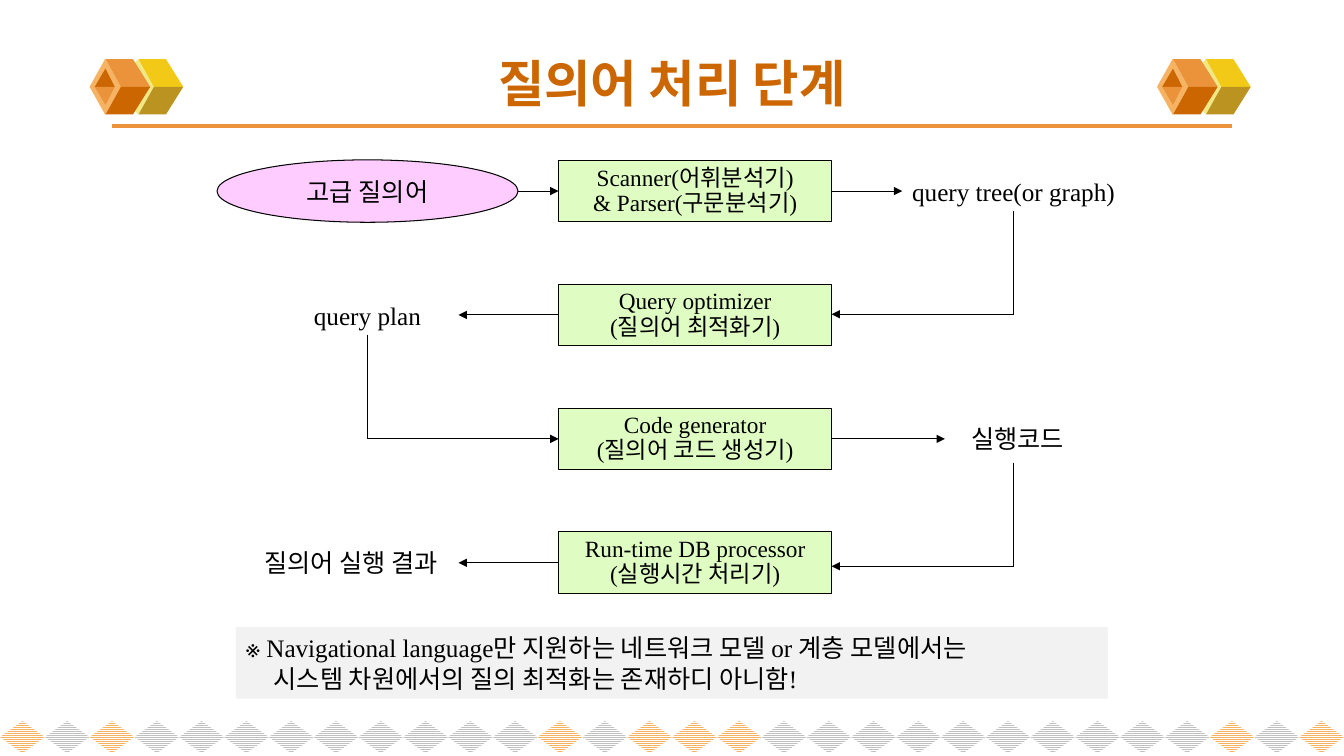
from lxml.etree import SubElement
from pptx import Presentation
from pptx.dml.color import RGBColor
from pptx.enum.dml import MSO_PATTERN
from pptx.enum.shapes import MSO_CONNECTOR, MSO_SHAPE
from pptx.enum.text import MSO_ANCHOR, PP_ALIGN
from pptx.oxml.ns import qn
from pptx.util import Pt

FONT = "Times New Roman"
BLACK, AMBER, RUST = "000000", "EB933B", "CC6600"
LEFT, RIGHT = 399, 594      # sides of the step boxes
TOP, PITCH = 136.5, 88.5    # centre of the first row, row distance
STEPS = [
    ("Scanner(어휘분석기)", "& Parser(구문분석기)"),
    ("Query optimizer", "(질의어 최적화기)"),
    ("Code generator", "(질의어 코드 생성기)"),
    ("Run-time DB processor", "(실행시간 처리기)"),
]
NOTE = (
    "※ Navigational language만 지원하는 네트워크 모델 or 계층 모델에서는",
    "시스템 차원에서의 질의 최적화는 존재하디 아니함!",
)


def tint(code):
    return RGBColor.from_string(code)


def apply(item, form):
    for name, value in form.items():
        setattr(item, name, value)


def row(index):
    return TOP + PITCH * index


def paint(shape, fill, line=None):
    shape.shadow.inherit = False
    shape.fill.solid()
    shape.fill.fore_color.rgb = tint(fill)
    if line:
        shape.line.color.rgb = tint(line)
        shape.line.width = Pt(0.75)
    else:
        shape.line.fill.background()


def write(shape, lines, size=18, color=BLACK, bold=False, inset=(7.2, 3.6),
          wrap=True, align=PP_ALIGN.CENTER, space=1.0):
    frame = shape.text_frame
    side, edge = (Pt(value) for value in inset)
    apply(frame, {"word_wrap": wrap, "vertical_anchor": MSO_ANCHOR.MIDDLE,
                  "margin_left": side, "margin_right": side,
                  "margin_top": edge, "margin_bottom": edge})
    frame.text = "\n".join(lines)
    for par in frame.paragraphs:
        apply(par, {"alignment": align, "line_spacing": space})
        font = par.runs[0].font
        apply(font, {"name": FONT, "size": Pt(size), "bold": bold})
        font.color.rgb = tint(color)


def block(slide, kind, x, y, w, h, fill, line=None):
    shape = slide.shapes.add_shape(kind, Pt(x), Pt(y), Pt(w), Pt(h))
    paint(shape, fill, line)
    return shape


def label(slide, text, mid, y, w, h=30, **form):
    box = slide.shapes.add_textbox(Pt(mid - w / 2), Pt(y - h / 2), Pt(w), Pt(h))
    write(box, [text], **form)


def link(slide, start, end, color=BLACK, width=0.75, arrow=False):
    ends = [Pt(value) for value in (*start, *end)]
    line = slide.shapes.add_connector(MSO_CONNECTOR.STRAIGHT, *ends)
    line.line.color.rgb = tint(color)
    line.line.width = Pt(width)
    if arrow:
        SubElement(line.line._get_or_add_ln(), qn("a:tailEnd"), type="triangle")
    SubElement(line._element.spPr, qn("a:effectLst"))


def bend(slide, x, y, side, end):
    link(slide, (x, y), (x, end))
    link(slide, (x, end), (side, end), arrow=True)


def face(slide, x, y, points, fill):
    spots = [(Pt(x + dx), Pt(y + dy)) for dx, dy in points]
    form = slide.shapes.build_freeform(*spots[0], scale=1.0)
    form.add_line_segments(spots[1:], close=True)
    paint(form.convert_to_shape(), fill)


def pair(slide, x, y, points, upper, lower):
    face(slide, x, y, points, upper)
    face(slide, x, y, [(dx, -dy) for dx, dy in points], lower)


def emblem(slide, x, y):
    cube = [(22.4, 0), (43.3, 0), (31, -19.7), (11.4, -19.7)]
    back = [(dx + 23.6, dy) for dx, dy in cube]
    notch = [(11.4, -13), (3.7, 0), (18, 0)]
    block(slide, MSO_SHAPE.DIAMOND, x + 18.8, y - 19.7, 31.7, 39.5, "F1E785")
    pair(slide, x, y, back, "F3C917", "BB9321")
    block(slide, MSO_SHAPE.DIAMOND, x, y - 20, 22.4, 40, "F5B363")
    pair(slide, x, y, cube, AMBER, RUST)
    pair(slide, x, y, notch, RUST, AMBER)


def border(slide):
    warm = {0, 2, 12, 14, 15, 16, 27, 29}
    for index in range(30):
        gem = block(slide, MSO_SHAPE.DIAMOND, 32 * index, 515, 32, 23, "FFFFFF")
        gem.fill.patterned()
        gem.fill.pattern = MSO_PATTERN.NARROW_HORIZONTAL
        gem.fill.fore_color.rgb = tint("F5B363" if index in warm else "C0C0C0")
        gem.fill.back_color.rgb = tint("FFFFFF")


def flow(slide):
    # Query and processing steps
    query = block(slide, MSO_SHAPE.OVAL, 155, TOP - 22.3, 215, 44.6,
                  "FFCCFF", BLACK)
    write(query, ["고급 질의어"])
    for index, lines in enumerate(STEPS):
        step = block(slide, MSO_SHAPE.RECTANGLE, LEFT, row(index) - 22,
                     RIGHT - LEFT, 44, "DFFDC3", BLACK)
        write(step, lines, size=16.6, inset=(2.9, 2.9), space=0.9)

    # Results between the steps
    for index, text, mid, wide in [
        (0, "query tree(or graph)", 724, 160),
        (1, "query plan", 262.5, 155),
        (2, "실행코드", 727, 104),
        (3, "질의어 실행 결과", 251, 153),
    ]:
        label(slide, text, mid, row(index), wide, wrap=False)

    # Straight arrows
    for index, start, end in [(0, 370, LEFT), (0, RIGHT, 644.5),
                              (1, LEFT, 327.5), (2, RIGHT, 675),
                              (3, LEFT, 327.5)]:
        link(slide, (start, row(index)), (end, row(index)), arrow=True)

    # Bent arrows
    bend(slide, 724, 150.5, RIGHT, row(1) - 0.5)
    bend(slide, 262.5, 239, LEFT, row(2))
    bend(slide, 724, 330.5, RIGHT, row(3) + 2.5)


def remark(slide):
    note = block(slide, MSO_SHAPE.RECTANGLE, 168.5, 448, 623, 51, "F2F2F2")
    write(note, NOTE, align=PP_ALIGN.LEFT)
    last = note.text_frame.paragraphs[-1]
    last._p.get_or_add_pPr().set("marL", str(Pt(20)))


def main():
    deck = Presentation()
    deck.slide_width, deck.slide_height = Pt(960), Pt(540)
    slide = deck.slides.add_slide(deck.slide_layouts[6])

    # Frame and heading
    border(slide)
    link(slide, (80, 90), (880, 90), AMBER, 2.25)
    for x in (64, 826.5):
        emblem(slide, x, 62)
    label(slide, "질의어 처리 단계", 480, 58.5, 648, 55,
          size=36, color=RUST, bold=True)

    # Content
    flow(slide)
    remark(slide)
    deck.save("out.pptx")


main()
